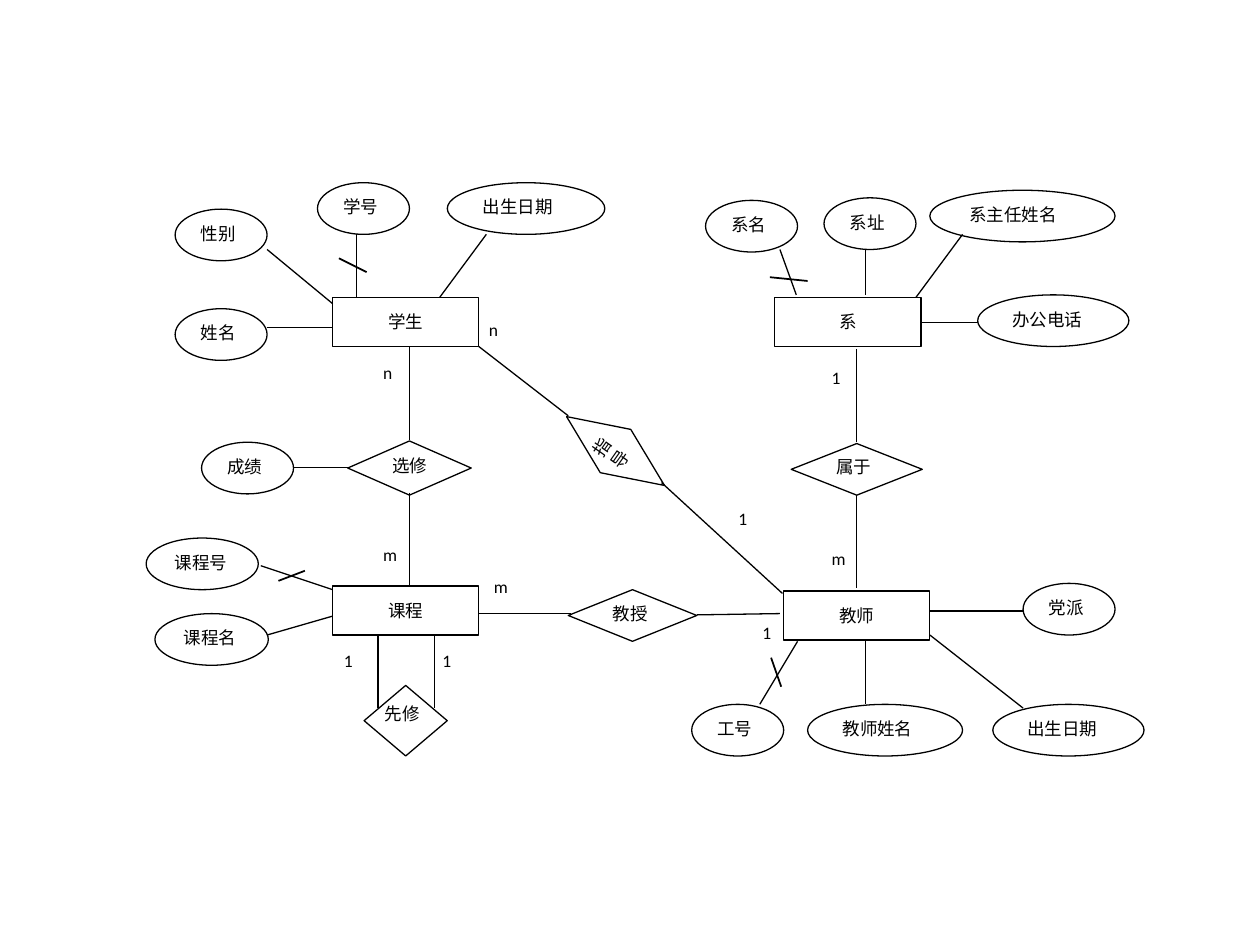
from pptx import Presentation
from pptx.dml.color import RGBColor
from pptx.enum.shapes import MSO_CONNECTOR, MSO_SHAPE
from pptx.enum.text import MSO_ANCHOR, PP_ALIGN
from pptx.oxml.ns import qn
from pptx.util import Inches, Pt
from lxml import etree

RECTANGLE = MSO_SHAPE.RECTANGLE
OVAL = MSO_SHAPE.OVAL
DIAMOND = MSO_SHAPE.FLOWCHART_DECISION
STRAIGHT = MSO_CONNECTOR.STRAIGHT
CENTER, JUSTIFY = PP_ALIGN.CENTER, PP_ALIGN.JUSTIFY
TOP, MIDDLE = MSO_ANCHOR.TOP, MSO_ANCHOR.MIDDLE
COLUMNS, ROWS = 100, 75
ENTITY_SIZE = (11.6, 3.9)
OVAL_HEIGHT = 4.1
SHORT_OVAL = 7.3

ENTITIES = [("学生", 26.4, 23.6), ("系", 61.5, 23.6),
            ("课程", 26.4, 46.5), ("教师", 62.2, 46.9)]

RELATIONS = [
    ("选修", 27.6, 35, 9.8, 4.3, {"align": CENTER}),
    ("先修", 28.9, 54.4, 6.6, 5.6, {}),
    ("属于", 62.8, 35.2, 10.4, 4.1, {"side": 1}),
    ("教授", 45.1, 46.8, 10.2, 4.1, {"side": 1}),
    ("指导", 44.1, 33.7, 9.5, 4.2, {"side": 1, "rotation": 35.1, "direction": "vert270"}),
]

ATTRIBUTES = [
    ("成绩", 16, 35.1, SHORT_OVAL), ("学号", 25.2, 14.5, SHORT_OVAL),
    ("姓名", 13.9, 24.5, SHORT_OVAL), ("性别", 13.9, 16.6, SHORT_OVAL),
    ("出生日期", 35.5, 14.5, 12.5), ("系名", 56, 15.9, SHORT_OVAL),
    ("系址", 65.4, 15.7, SHORT_OVAL), ("系主任姓名", 73.8, 15.1, 14.7),
    ("办公电话", 77.6, 23.4, 12), ("工号", 54.9, 55.9, SHORT_OVAL),
    ("教师姓名", 64.1, 55.9, 12.3), ("党派", 81.2, 46.3, SHORT_OVAL),
    ("出生日期", 78.8, 55.9, 12), ("课程号", 11.6, 42.7, 8.9),
    ("课程名", 12.3, 48.7, 9),
]

CARDINALITIES = [
    ("n", 30.2, 28.2), ("m", 30.2, 42.7), ("1", 27.1, 51.1), ("1", 34.9, 51.1),
    ("1", 65.8, 28.6), ("m", 65.8, 43), ("1", 60.3, 48.9), ("m", 39, 45.2),
    ("n", 38.6, 24.8), ("1", 58.4, 39.8),
]

LINKS = [
    (30, 50.4, 30, 56.2), (34.5, 50.4, 34.5, 56.2),
    (32.5, 27.5, 32.5, 34.9), (32.5, 39.1, 32.5, 46.5),
    (68, 27.7, 68, 35.1), (68, 39.3, 68, 46.7),
    (23.3, 37.1, 27.8, 37.1), (38, 48.7, 45.3, 48.7),
    (55.3, 48.8, 61.9, 48.7), (38, 27.5, 45.1, 33), (52.5, 38.3, 62.1, 47.1),
    (34.9, 23.6, 38.6, 18.6), (28.3, 23.6, 28.3, 18.6),
    (26.4, 24.1, 21.2, 19.8), (26.4, 26, 21.2, 26),
    (72.7, 23.6, 76.4, 18.6), (73.1, 25.6, 77.6, 25.6),
    (68.7, 23.4, 68.7, 19.8), (63.2, 23.4, 61.9, 19.8),
    (81.2, 48.5, 73.8, 48.5), (68.7, 55.9, 68.7, 50.9),
    (60.3, 55.9, 63.3, 50.9), (81.2, 56.2, 73.8, 50.4),
    (20.7, 44.9, 26.4, 46.8), (21.2, 50.4, 26.4, 48.9),
]

KEY_MARKS = [(26.9, 20.5, 29.1, 21.6), (61.1, 22, 64.1, 22.3),
             (22.1, 46.1, 24.2, 45.3), (61.2, 52.2, 62, 54.5)]


def color(value):
    return RGBColor.from_string(value)


def apply(target, formats):
    for name, value in formats.items():
        setattr(target, name, value)


class Diagram:
    ink, paper = "000000", "FFFFFF"
    font = {"name": "Calibri", "size": Pt(10)}

    def __init__(self, deck):
        self.width, self.height = deck.slide_width, deck.slide_height
        self.page = deck.slides.add_slide(deck.slide_layouts[6])

    def across(self, columns):
        return round(self.width * columns / COLUMNS)

    def down(self, rows):
        return round(self.height * rows / ROWS)

    def node(self, kind, text, left, top, width, height, align=JUSTIFY,
             anchor=TOP, side=1, ends=(0.5, 0.5), outlined=True):
        box = self.page.shapes.add_shape(
            kind, self.across(left), self.down(top), self.across(width), self.down(height))
        box.shadow.inherit = False
        box.fill.solid()
        box.fill.fore_color.rgb = color(self.paper)
        if outlined:
            box.line.color.rgb = color(self.ink)
            box.line.width = Pt(0.75)
        else:
            box.line.fill.background()
        frame = box.text_frame
        apply(frame, {
            "word_wrap": True, "vertical_anchor": anchor,
            "margin_left": self.across(side), "margin_right": self.across(side),
            "margin_top": self.down(ends[0]), "margin_bottom": self.down(ends[1]),
        })
        para = frame.paragraphs[0]
        para.alignment = align
        span = para.add_run()
        span.text = text
        apply(span.font, self.font)
        span.font.color.rgb = color(self.ink)
        return box

    def entity(self, text, left, top):
        self.node(RECTANGLE, text, left, top, *ENTITY_SIZE, align=CENTER, anchor=MIDDLE)

    def attribute(self, text, left, top, width):
        self.node(OVAL, text, left, top, width, OVAL_HEIGHT)

    def relation(self, text, left, top, width, height, align=JUSTIFY, side=0,
                 rotation=0, direction="horz"):
        box = self.node(DIAMOND, text, left, top, width, height,
                        align=align, side=side, ends=(0, 0))
        box.rotation = rotation
        box.element.txBody.find(qn("a:bodyPr")).set("vert", direction)

    def cardinality(self, text, left, top):
        self.node(RECTANGLE, text, left, top, 1.9, 3.2, side=0.2, outlined=False)

    def link(self, x1, y1, x2, y2, weight=0.75):
        line = self.page.shapes.add_connector(
            STRAIGHT, self.across(x1), self.down(y1), self.across(x2), self.down(y2))
        line.line.color.rgb = color(self.ink)
        line.line.width = Pt(weight)
        etree.SubElement(line.element.spPr, qn("a:effectLst"))


def main():
    deck = Presentation()
    apply(deck, {"slide_width": Inches(10), "slide_height": Inches(7.5)})
    diagram = Diagram(deck)
    for text, left, top in CARDINALITIES:
        diagram.cardinality(text, left, top)
    for text, left, top in ENTITIES:
        diagram.entity(text, left, top)
    for *place, formats in RELATIONS:
        diagram.relation(*place, **formats)
    for text, left, top, width in ATTRIBUTES:
        diagram.attribute(text, left, top, width)
    for ends in LINKS:
        diagram.link(*ends)
    for ends in KEY_MARKS:
        diagram.link(*ends, weight=1)
    deck.save("out.pptx")


if __name__ == "__main__":
    main()
